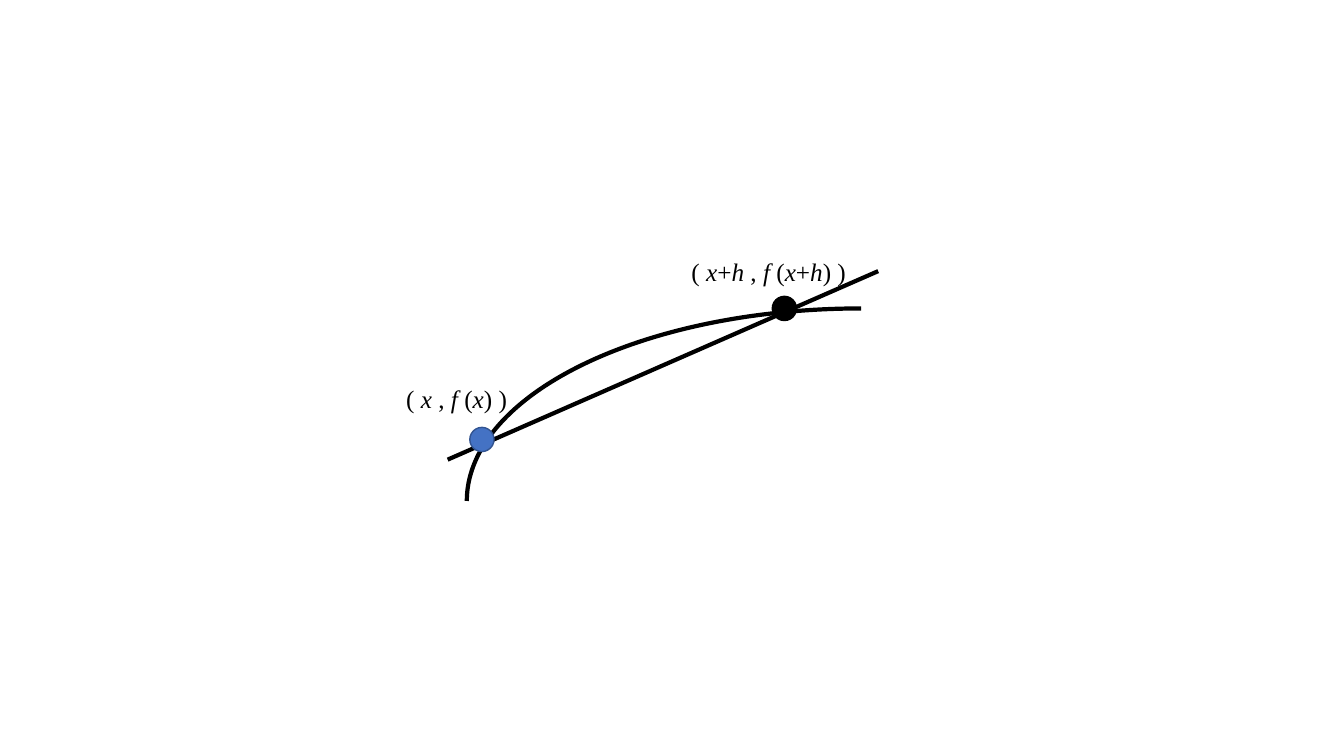
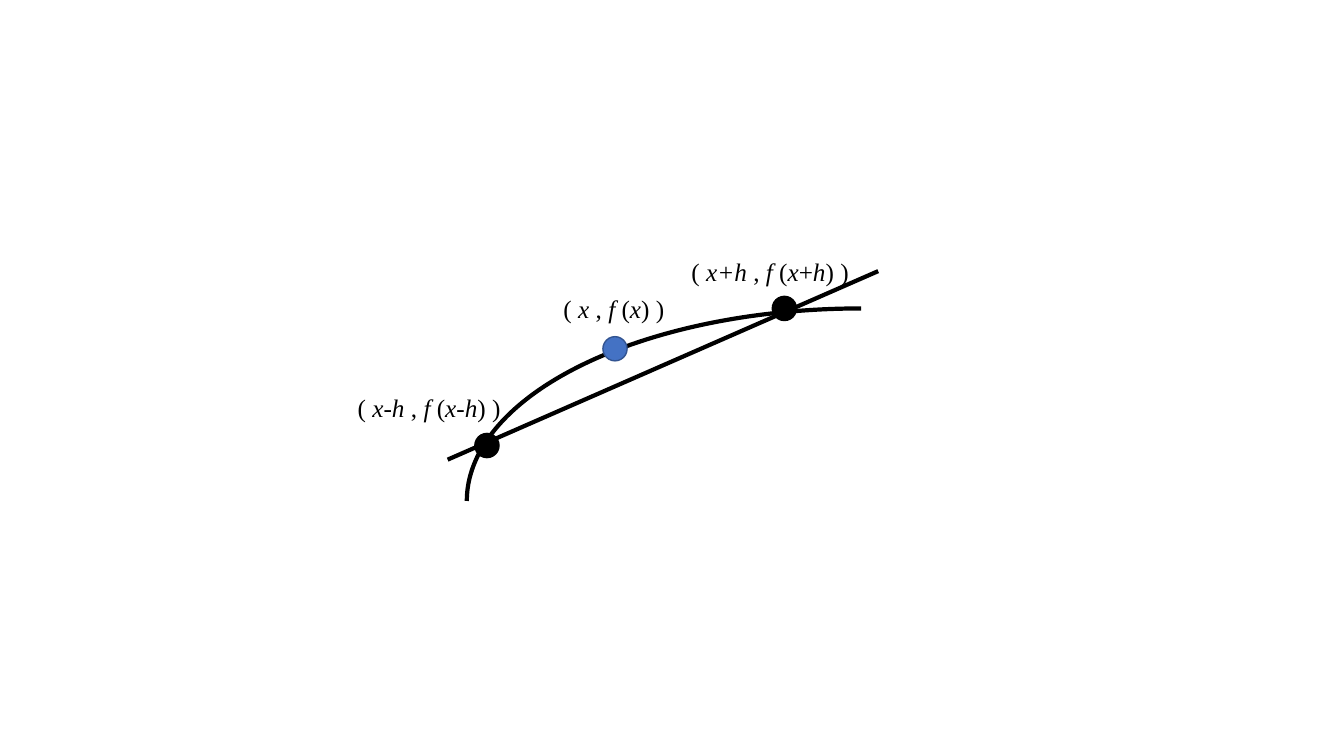
from pptx import Presentation
from pptx.dml.color import RGBColor
from pptx.enum.shapes import MSO_CONNECTOR as Connector, MSO_SHAPE as Shape
from pptx.enum.text import MSO_AUTO_SIZE as AutoSize
from pptx.oxml.ns import qn
from pptx.util import Inches, Pt
from lxml import etree

COLORS = {"black": "000000", "blue": "4472C4", "blue_edge": "325491"}
DOT_SIZE = 0.24
LABEL_HEIGHT = 0.4


def add_formula(paragraph, text, font="Times New Roman", size=18, color="black"):
    for index, piece in enumerate(text.split("*")):
        run = paragraph.add_run()
        run.text = piece
        run.font.name = font
        run.font.size = Pt(size)
        run.font.italic = index % 2 == 1
        run.font.color.rgb = RGBColor.from_string(COLORS[color])


class Diagram:
    """Draws a curve, its secant and labelled points on the current slide."""

    def __init__(self):
        self.presentation = Presentation()
        self.presentation.slide_width = Inches(13.33)
        self.presentation.slide_height = Inches(7.5)

    def new_slide(self):
        self.slide = self.presentation.slides.add_slide(self.presentation.slide_layouts[6])
        self.curve(4.63, 3.06, 7.82, 3.82)
        self.secant((4.44, 4.56), (8.71, 2.69))

    def outline(self, shape, color="black", width=3):
        shape.line.color.rgb = RGBColor.from_string(COLORS[color])
        shape.line.width = Pt(width)

    def preset(self, kind, *box):
        shape = self.slide.shapes.add_shape(kind, *map(Inches, box))
        shape.shadow.inherit = False
        return shape

    def curve(self, left, top, width, height):
        shape = self.preset(Shape.ARC, left, top, width, height)
        shape.fill.background()
        self.outline(shape)
        shape.element.spPr.find(qn("a:xfrm")).set("flipH", "1")

    def secant(self, start, end):
        line = self.slide.shapes.add_connector(Connector.STRAIGHT, *map(Inches, start + end))
        self.outline(line)
        etree.SubElement(line.element.spPr, qn("a:effectLst"))

    def dot(self, left, top, color="black", edge="black"):
        shape = self.preset(Shape.OVAL, left, top, DOT_SIZE, DOT_SIZE)
        shape.fill.solid()
        shape.fill.fore_color.rgb = RGBColor.from_string(COLORS[color])
        self.outline(shape, edge, 1)

    def label(self, left, top, width, text):
        box = self.slide.shapes.add_textbox(*map(Inches, (left, top, width, LABEL_HEIGHT)))
        frame = box.text_frame
        frame.word_wrap = False
        frame.auto_size = AutoSize.SHAPE_TO_FIT_TEXT
        add_formula(frame.paragraphs[0], text)

    def right_point(self, text):
        self.dot(7.66, 2.94)
        self.label(6.76, 2.49, 1.78, text)

    def left_point(self, text):
        self.dot(4.71, 4.3)
        self.label(3.45, 3.84, 1.63, text)

    def center_point(self, dot_at, label_at):
        self.dot(*dot_at, color="blue", edge="blue_edge")
        self.label(*label_at, 1.21, "( *x *, *f *(*x*) )")


diagram = Diagram()

diagram.new_slide()
diagram.right_point("( *x*+*h *, *f *(*x*+*h*) )")
diagram.center_point((4.66, 4.24), (3.93, 3.75))

diagram.new_slide()
diagram.right_point("( *x+h *, *f *(*x*+*h*) )")
diagram.left_point("( *x-h *, *f *(*x-h*) )")
diagram.center_point((5.98, 3.34), (5.49, 2.86))

diagram.presentation.save("out.pptx")
